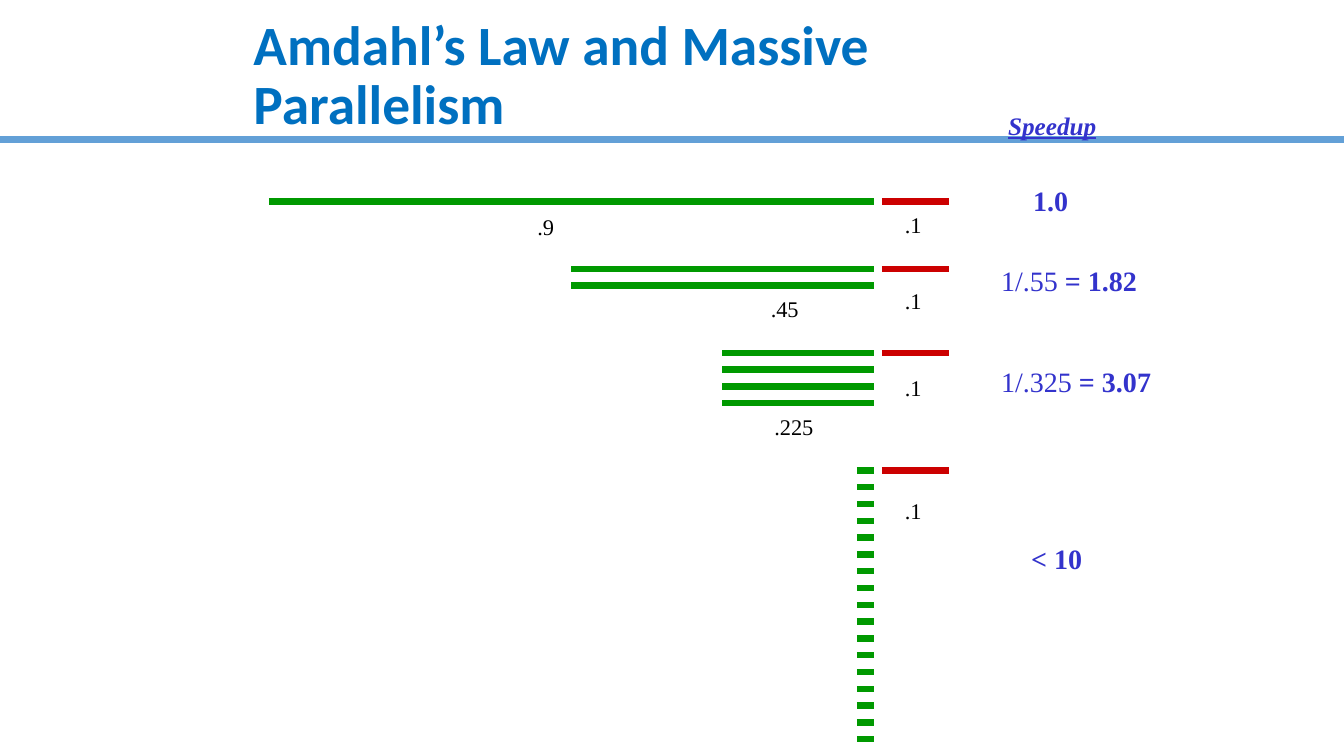
from dataclasses import dataclass

import pptx
import pptx.dml.color
import pptx.enum.shapes
import pptx.enum.text
import pptx.oxml
import pptx.oxml.ns
import pptx.slide
import pptx.util

RGBColor = pptx.dml.color.RGBColor
Pt = pptx.util.Pt

TITLE_BLUE = RGBColor(0x00, 0x70, 0xC0)
RULE_BLUE = RGBColor(0x63, 0xA0, 0xD7)
PARALLEL_GREEN = RGBColor(0x00, 0x99, 0x00)
SERIAL_RED = RGBColor(0xCC, 0x00, 0x00)
SPEEDUP_BLUE = RGBColor(0x33, 0x33, 0xCC)
BLACK = RGBColor(0x00, 0x00, 0x00)

SLIDE_W, SLIDE_H = 960, 540
PARALLEL_END = 624
SERIAL_START, SERIAL_END = 630, 678
BAR_STEP = 12
BAR_WEIGHT = 4.5


@dataclass(frozen=True)
class Label:
    left: float
    top: float
    width: float
    height: float
    text: str
    size: float = 16
    color: RGBColor = BLACK
    plain: str = ""
    font: str = "Times New Roman"
    bold: bool = False
    italic: bool = False
    underline: bool = False
    wrap: bool = False
    line_spacing: float = 1.0


@dataclass(frozen=True)
class Stage:
    processors: int
    top: float
    parallel_start: float


STAGES = [
    Stage(1, 144, 192),
    Stage(2, 192, 408),
    Stage(4, 252, 516),
    Stage(17, 336, 612),
]

TITLE = Label(174, 10, 612, 90, "Amdahl’s Law and Massive Parallelism", 39.6,
              TITLE_BLUE, font="Calibri", bold=True, wrap=True, line_spacing=0.9)

SERIAL_LABELS = [Label(639.2, top, 26.8, 26.7, ".1")
                 for top in (147.6, 201.6, 264, 351.6)]

PARALLEL_LABELS = [
    Label(376.8, 149, 26.8, 26.7, ".9"),
    Label(543.5, 207.6, 34.8, 26.7, ".45"),
    Label(546, 291.6, 42.6, 26.7, ".225"),
]

SPEEDUP_LABELS = [
    Label(713, 75, 78.5, 29, "Speedup", 18, SPEEDUP_BLUE,
          bold=True, italic=True, underline=True),
    Label(730.8, 127.4, 39.6, 31.5, "1.0", 20, SPEEDUP_BLUE, bold=True),
    Label(708, 185, 112.3, 31.5, " = 1.82", 20, SPEEDUP_BLUE, "1/.55", bold=True),
    Label(708, 257, 122.4, 31.5, " = 3.07", 20, SPEEDUP_BLUE, "1/.325", bold=True),
    Label(729.4, 383, 51, 31.5, "< 10", 20, SPEEDUP_BLUE, bold=True),
]


def add_bar(s: pptx.slide.Slide, x1: float, x2: float, y: float,
            color: RGBColor, weight: float = BAR_WEIGHT) -> None:
    sp = s.shapes.add_connector(pptx.enum.shapes.MSO_CONNECTOR.STRAIGHT,
                                Pt(x1), Pt(y), Pt(x2), Pt(y))
    sp.line.color.rgb = color
    sp.line.width = Pt(weight)
    effects = pptx.oxml.parse_xml(
        f'<a:effectLst {pptx.oxml.ns.nsdecls("a")}/>')
    sp.element.spPr.append(effects)


def add_stage(s: pptx.slide.Slide, stage: Stage) -> None:
    add_bar(s, SERIAL_START, SERIAL_END, stage.top, SERIAL_RED)
    for i in range(stage.processors):
        add_bar(s, stage.parallel_start, PARALLEL_END,
                stage.top + i * BAR_STEP, PARALLEL_GREEN)


def add_label(s: pptx.slide.Slide, label: Label) -> None:
    sp = s.shapes.add_textbox(Pt(label.left), Pt(label.top),
                              Pt(label.width), Pt(label.height))
    tf = sp.text_frame
    tf.word_wrap = label.wrap
    if label.wrap:
        tf.vertical_anchor = pptx.enum.text.MSO_ANCHOR.MIDDLE
    else:
        tf.auto_size = pptx.enum.text.MSO_AUTO_SIZE.SHAPE_TO_FIT_TEXT
    p = tf.paragraphs[0]
    p.line_spacing = label.line_spacing
    p.font.name = label.font
    p.font.size = Pt(label.size)
    p.font.color.rgb = label.color
    p.font.italic = label.italic
    p.font.underline = label.underline
    if label.plain:
        p.add_run().text = label.plain
        r = p.add_run()
        r.text = label.text
        r.font.bold = label.bold
    else:
        p.font.bold = label.bold
        p.add_run().text = label.text


def main() -> None:
    prs = pptx.Presentation()
    prs.slide_width, prs.slide_height = Pt(SLIDE_W), Pt(SLIDE_H)
    s = prs.slides.add_slide(prs.slide_layouts[6])
    add_bar(s, 0, SLIDE_W, 99.4, RULE_BLUE, 5)
    for stage in STAGES:
        add_stage(s, stage)
    for label in [TITLE, *SERIAL_LABELS, *PARALLEL_LABELS, *SPEEDUP_LABELS]:
        add_label(s, label)
    prs.save("out.pptx")


if __name__ == "__main__":
    main()
